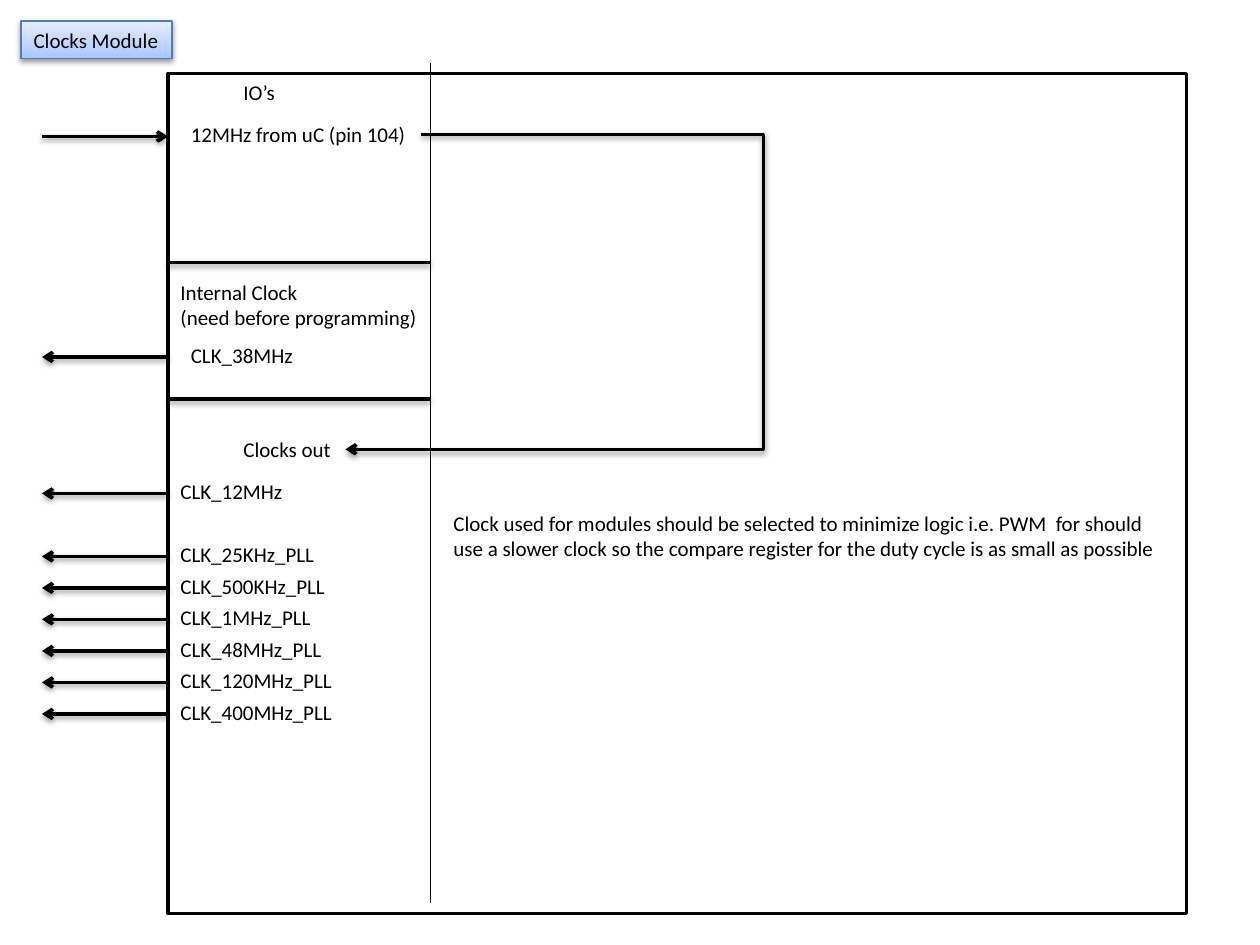
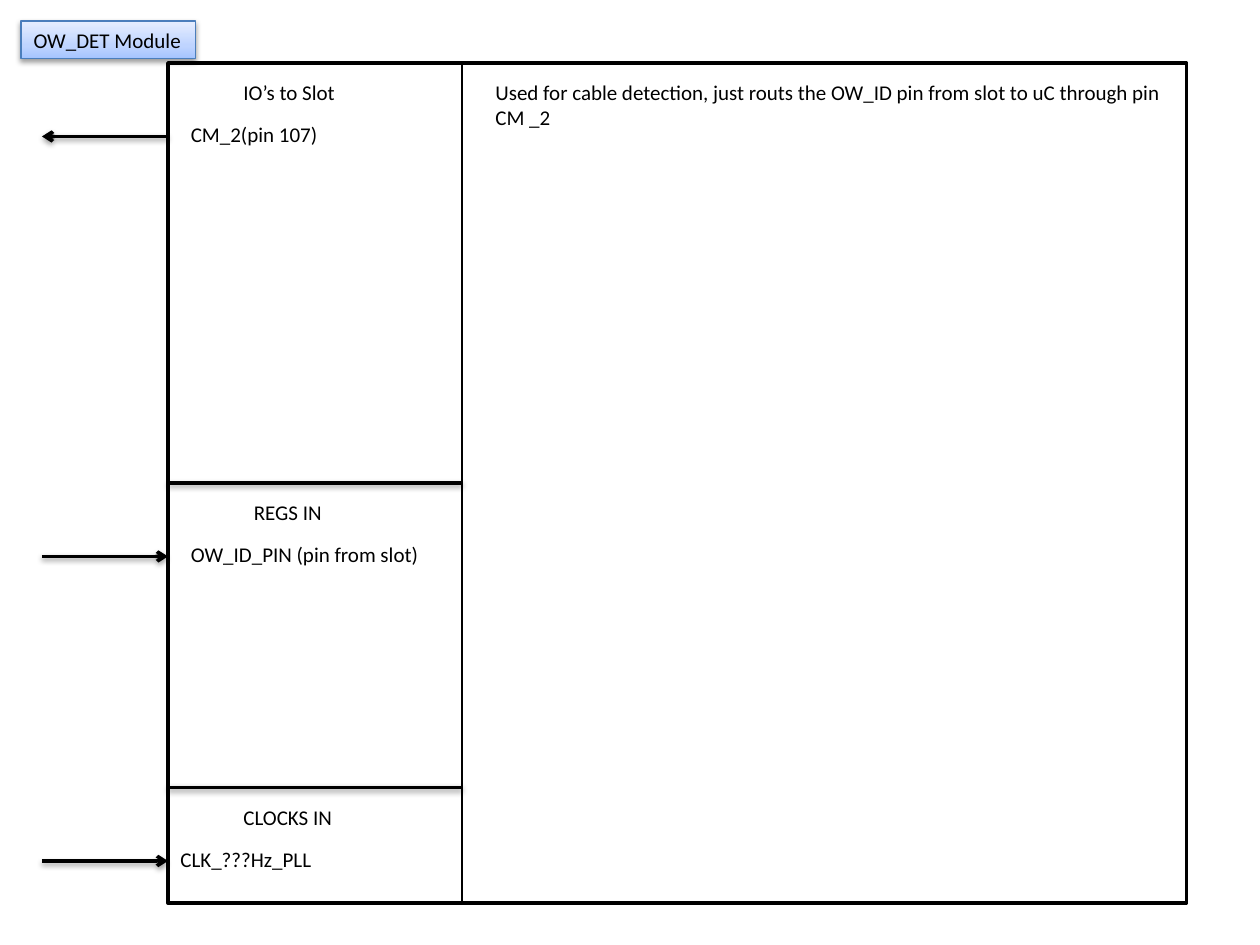
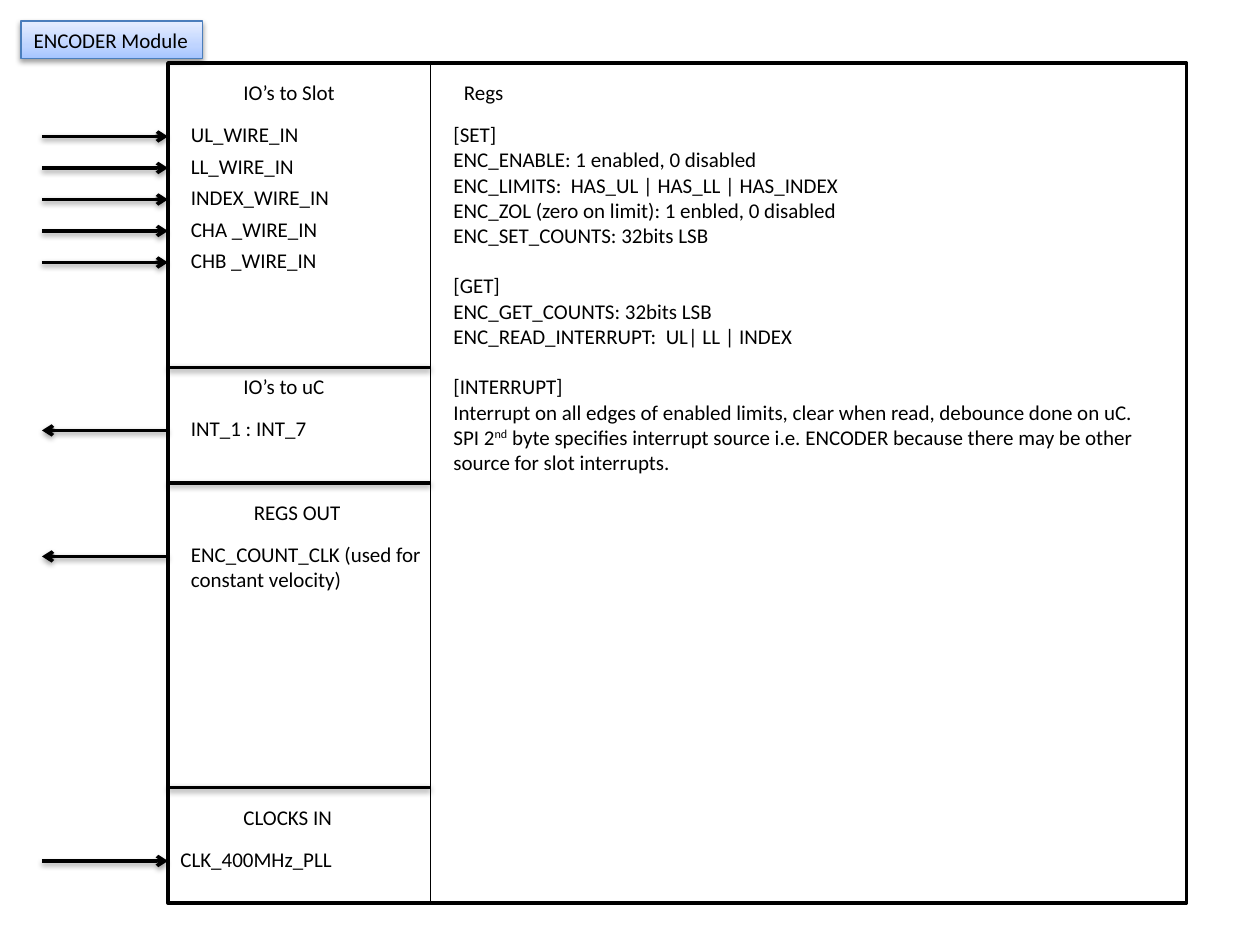
from dataclasses import dataclass

from lxml import etree
from pptx import Presentation
from pptx import util as u
from pptx.dml import color
from pptx.enum import shapes, text
from pptx.oxml import ns

STEP = 2.54 / 12
BLACK, WHITE, BLUE = "000000", "FFFFFF", "4B7EBC"
GRAD = {0: "A4C4FF", 35: "BFD4FF", 100: "E6EEFF"}
FONT = "Calibri"
LEFT, TOP, BASE = 16, 6, 86
ELBOW = shapes.MSO_CONNECTOR.ELBOW
PLAIN = shapes.MSO_CONNECTOR.STRAIGHT
GROW = text.MSO_AUTO_SIZE.SHAPE_TO_FIT_TEXT
FIXED = text.MSO_AUTO_SIZE.NONE


@dataclass
class Note:
    x: float
    y: float
    width: float
    lines: list[str]
    wrap: bool = False
    rows: int = 0


@dataclass
class Pin:
    x: float
    y: float
    width: float
    label: str
    into: bool = False
    more: str = ""


@dataclass
class Module:
    title: str
    width: float
    split: float
    bars: list[float]
    pins: list[Pin]
    notes: list[Note]
    top: float = TOP
    loop: bool = False


def grid(num: float) -> u.Length:
    return u.Cm(num * STEP)


def tint(code: str) -> color.RGBColor:
    return color.RGBColor.from_string(code)


def node(root, tag: str, **attrs):
    return etree.SubElement(root, ns.qn(tag), attrs)


def stroke(item, code: str, size: float) -> None:
    item.line.color.rgb = tint(code)
    item.line.width = u.Pt(size)


def shade(item, shown: bool = True) -> None:
    effect = node(item.element.spPr, "a:effectLst")
    if shown:
        cast = node(effect, "a:outerShdw", blurRad="40000", dist="20000",
                    dir="5400000", rotWithShape="0")
        node(node(cast, "a:srgbClr", val=BLACK), "a:alpha", val="38000")


def write(item, lines: list[str], wrap: bool, fit=GROW) -> None:
    frame = item.text_frame
    frame.word_wrap = wrap
    frame.auto_size = fit
    frame.vertical_anchor = text.MSO_ANCHOR.TOP
    for row, line in enumerate(lines):
        para = frame.add_paragraph() if row else frame.paragraphs[0]
        para.alignment = text.PP_ALIGN.LEFT
        if row and line.startswith("["):
            para.space_before = u.Cm(0.51)
        for part, words in enumerate(line.split("^")):
            run = para.add_run()
            run.text = words
            run.font.name = FONT
            run.font.size = u.Pt(12)
            run.font.color.rgb = tint(BLACK)
            if part % 2:
                item.element.xpath(".//a:rPr")[-1].set("baseline", "30000")


def add_note(slide, note: Note) -> None:
    tall = 1.2 + 2.4 * (note.rows or len(note.lines))
    box = slide.shapes.add_textbox(
        grid(note.x), grid(note.y), grid(note.width), grid(tall))
    write(box, note.lines, note.wrap)


def add_line(slide, kind, start: tuple, end: tuple, size: float = 2,
             head: str = "", shown: bool = True):
    line = slide.shapes.add_connector(
        kind, *(grid(num) for num in (*start, *end)))
    stroke(line, BLACK, size)
    if head:
        node(line.element.spPr.find(ns.qn("a:ln")), head, type="arrow")
    shade(line, shown)
    return line


def add_pin(slide, pin: Pin) -> None:
    lines = [pin.label, pin.more] if pin.more else [pin.label]
    add_note(slide, Note(pin.x, pin.y, pin.width, lines))
    head = "a:tailEnd" if pin.into else "a:headEnd"
    add_line(slide, ELBOW, (4, pin.y + 2), (LEFT, pin.y + 2), head=head)


def add_loop(slide) -> None:
    loop = add_line(slide, ELBOW, (40.1, 12.8), (32.9, 42.8),
                    head="a:tailEnd")
    geom = loop.element.spPr.find(ns.qn("a:prstGeom"))
    guide = geom.find(ns.qn("a:avLst"))
    if guide is None:
        guide = node(geom, "a:avLst")
    node(guide, "a:gd", name="adj1", fmla="val -453000")


def add_frame(slide, top: float):
    frame = slide.shapes.add_shape(
        shapes.MSO_SHAPE.RECTANGLE,
        grid(LEFT), grid(top), grid(97), grid(80))
    frame.fill.solid()
    frame.fill.fore_color.rgb = tint(WHITE)
    stroke(frame, BLACK, 2)
    frame.shadow.inherit = False
    return frame


def add_title(slide, name: str, width: float):
    tag = slide.shapes.title
    tag.left, tag.top = grid(2), grid(2)
    tag.width, tag.height = grid(width), grid(3.6)
    fill = node(tag.element.spPr, "a:gradFill", rotWithShape="1")
    stops = node(fill, "a:gsLst")
    for place, code in GRAD.items():
        stop = node(stops, "a:gs", pos=str(place * 1000))
        node(stop, "a:srgbClr", val=code)
    node(fill, "a:lin", ang="16200000", scaled="0")
    stroke(tag, BLUE, 0.75)
    shade(tag)
    write(tag, [name], True, FIXED)
    tag.text_frame.margin_right = u.Cm(0)
    return tag


def draw(deck, module: Module) -> None:
    slide = deck.slides.add_slide(deck.slide_layouts[5])
    frame = add_frame(slide, module.top)
    tag = add_title(slide, module.title, module.width)
    frame.element.addnext(tag.element)
    add_line(slide, PLAIN, (module.split, TOP), (module.split, BASE),
             size=0.75, shown=False)
    for bar in module.bars:
        add_line(slide, PLAIN, (LEFT, bar), (module.split, bar))
    for pin in module.pins:
        add_pin(slide, pin)
    for note in module.notes:
        add_note(slide, note)
    if module.loop:
        add_loop(slide)


PLLS = [("25KHz", 15.4), ("500KHz", 16.2), ("1MHz", 15),
        ("48MHz", 16), ("120MHz", 17), ("400MHz", 17)]
WIRES = [("UL", 12.7), ("LL", 12.4), ("INDEX", 15.7),
         ("CHA ", 14.6), ("CHB ", 14.5)]
SLOT = Note(22, 7, 11.3, ["IO’s to Slot"])
CLOCK = Note(22, 76, 10.9, ["CLOCKS IN"])

MODULES = [
    Module(
        "Clocks Module", 14.4, 41, [25, 38],
        [Pin(17, 11, 23, "12MHz from uC (pin 104)", True),
         Pin(17, 32, 12.2, "CLK_38MHz"),
         Pin(16, 45, 12.2, "CLK_12MHz")]
        + [Pin(16, 51 + 3 * row, width, f"CLK_{rate}_PLL")
           for row, (rate, width) in enumerate(PLLS)],
        [Note(22, 7, 5.5, ["IO’s"]),
         Note(16, 26, 25.1, ["Internal Clock", "(need before programming)"]),
         Note(22, 41, 10.9, ["Clocks out"]),
         Note(42, 48, 70,
              ["Clock used for modules should be selected to minimize logic "
               "i.e. PWM  for should use a slower clock so the compare "
               "register for the duty cycle is as small as possible"],
              True, 3)],
        top=7, loop=True),
    Module(
        "OW_DET Module", 16.6, 44, [46, 75],
        [Pin(17, 11, 14.6, "CM_2(pin 107)"),
         Pin(17, 51, 24.4, "OW_ID_PIN (pin from slot)", True),
         Pin(16, 80, 15, "CLK_???Hz_PLL", True)],
        [SLOT, CLOCK,
         Note(23, 47, 9, ["REGS IN"]),
         Note(46, 7, 66.8,
              ["Used for cable detection, just routs the OW_ID pin from "
               "slot to uC through pin", "CM _2"])]),
    Module(
        "ENCODER Module", 17.3, 41, [35, 46, 75],
        [Pin(17, 11 + 3 * row, width, f"{name}_WIRE_IN", True)
         for row, (name, width) in enumerate(WIRES)]
        + [Pin(17, 39, 13.6, "INT_1 : INT_7"),
           Pin(17, 51, 25.1, "ENC_COUNT_CLK (used for",
               more="constant velocity)"),
           Pin(16, 80, 17, "CLK_400MHz_PLL", True)],
        [SLOT, CLOCK,
         Note(22, 35, 10.2, ["IO’s to uC"]),
         Note(23, 47, 10.8, ["REGS OUT"]),
         Note(43, 7, 6.2, ["Regs"]),
         Note(42, 11, 70,
              ["[SET]",
               "ENC_ENABLE: 1 enabled, 0 disabled",
               "ENC_LIMITS:  HAS_UL | HAS_LL | HAS_INDEX",
               "ENC_ZOL (zero on limit): 1 enbled, 0 disabled",
               "ENC_SET_COUNTS: 32bits LSB",
               "[GET]",
               "ENC_GET_COUNTS: 32bits LSB",
               "ENC_READ_INTERRUPT:  UL| LL | INDEX",
               "[INTERRUPT]",
               "Interrupt on all edges of enabled limits, clear when read, "
               "debounce done on uC.",
               "SPI 2^nd^ byte specifies interrupt source i.e. ENCODER "
               "because there may be other source for slot interrupts."],
              True, 14)]),
]


def main() -> None:
    deck = Presentation()
    deck.slide_width, deck.slide_height = u.Cm(25.4), u.Cm(19.05)
    for module in MODULES:
        draw(deck, module)
    deck.save("out.pptx")


if __name__ == "__main__":
    main()
